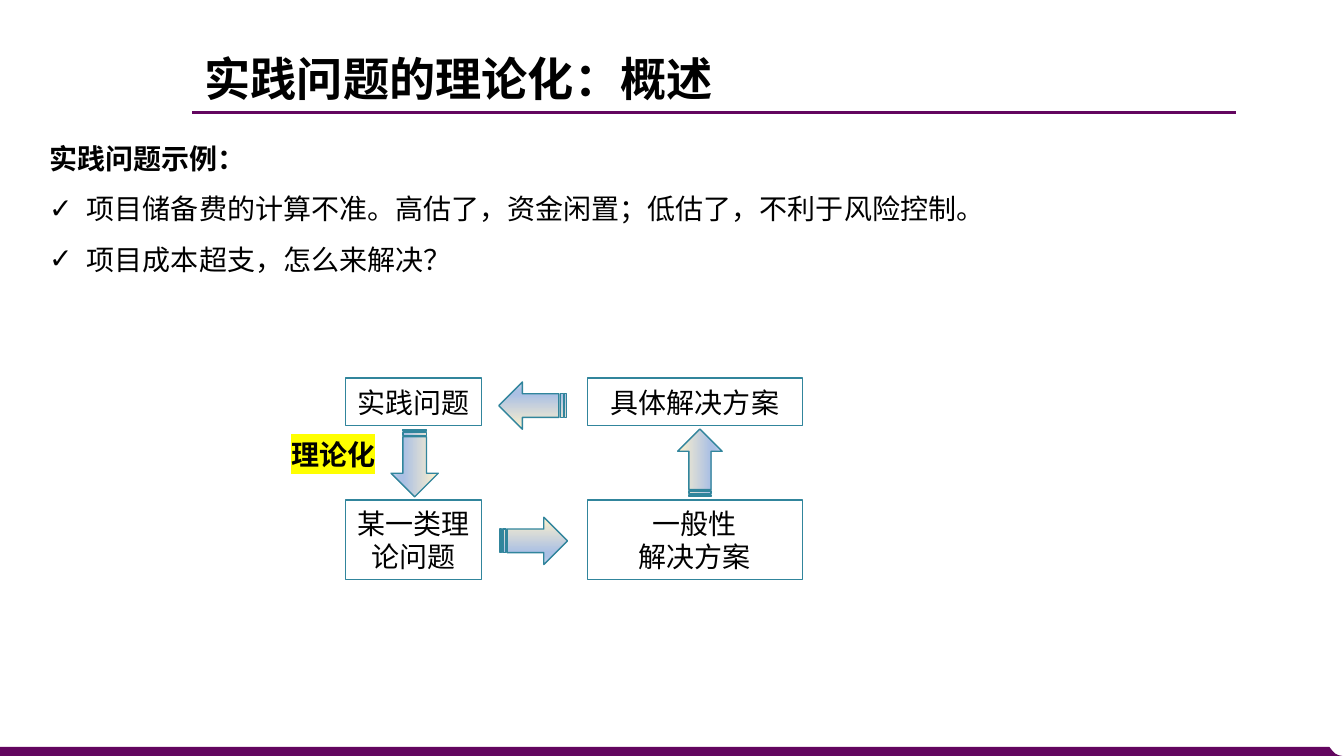
import lxml.etree
import pptx
import pptx.dml.color
import pptx.enum.shapes
import pptx.enum.text
import pptx.oxml.ns
import pptx.util

Cm = pptx.util.Cm
Pt = pptx.util.Pt
RGBColor = pptx.dml.color.RGBColor
MSO_SHAPE = pptx.enum.shapes.MSO_SHAPE
PP_ALIGN = pptx.enum.text.PP_ALIGN
MSO_ANCHOR = pptx.enum.text.MSO_ANCHOR
MSO_AUTO_SIZE = pptx.enum.text.MSO_AUTO_SIZE
qn = pptx.oxml.ns.qn

# Content: lengths in centimetres
TITLE = "实践问题的理论化：概述"
EXAMPLES_HEADING = "实践问题示例："
EXAMPLES = [
    "项目储备费的计算不准。高估了，资金闲置；低估了，不利于风险控制。",
    "项目成本超支，怎么来解决？",
]
THEORY_LABEL = "理论化"
COLUMNS = [(8.71, 3.43), (14.81, 5.41)]  # left, width
ROWS = [(9.53, 1.19), (12.6, 2.01)]  # top, height
BOX_TEXTS = [
    [["实践问题"], ["具体解决方案"]],
    [["某一类理论问题"], ["一般性", "解决方案"]],
]
ARROW_LENGTH = 1.7
ARROWS = [  # centre x, centre y, thickness, rotation
    (13.42, 10.22, 1.19, 180),
    (10.45, 11.67, 1.19, 90),
    (13.45, 13.63, 1.19, 0),
    (17.64, 11.66, 1.12, 270),
]
FOOTER_OUTLINE = [
    (0, 18.82), (33.5, 18.82), (33.58, 18.92), (33.65, 18.99),
    (33.73, 19.03), (33.83, 19.05), (0, 19.05),
]

# Style
PURPLE = RGBColor(0x63, 0x06, 0x5F)
TEAL = RGBColor(0x31, 0x85, 0x9C)
BLACK = RGBColor(0, 0, 0)
YELLOW = RGBColor(0xFF, 0xFF, 0)
ARROW_STOPS = [
    (0, RGBColor(0xFF, 0xF2, 0xCC)),
    (74, RGBColor(0xAB, 0xC0, 0xE4)),
    (83, RGBColor(0xAB, 0xC0, 0xE4)),
    (100, RGBColor(0xC7, 0xD5, 0xED)),
]
CJK_FONT = "Noto Sans CJK SC"
BODY_FONT = {"name": "Arial", "size": Pt(20), "bold": False}
HEADING_FONT = {**BODY_FONT, "bold": True}
LABEL_FONT = {**HEADING_FONT, "name": CJK_FONT}
TITLE_FONT = {**LABEL_FONT, "size": Pt(33)}
LEFT_TEXT = {"alignment": PP_ALIGN.LEFT}
TITLE_TEXT = {**LEFT_TEXT, "line_spacing": 0.9}
EXAMPLE_TEXT = {**LEFT_TEXT, "line_spacing": 1.5}
BOX_TEXT = {"alignment": PP_ALIGN.CENTER}
MIDDLE_FRAME = {
    "word_wrap": True,
    "auto_size": MSO_AUTO_SIZE.NONE,
    "vertical_anchor": MSO_ANCHOR.MIDDLE,
}
TOP_FRAME = {**MIDDLE_FRAME, "vertical_anchor": MSO_ANCHOR.TOP}


def apply(target, values):
    for name, value in values.items():
        setattr(target, name, value)


def add_xml(parent, tag, **attributes):
    return lxml.etree.SubElement(parent, qn(tag), attributes)


def write_paragraph(paragraph, text, font, layout):
    apply(paragraph, layout)
    run = paragraph.add_run()
    run.text = text
    apply(run.font, font)
    run.font.color.rgb = BLACK
    properties = run._r.get_or_add_rPr()
    add_xml(properties, "a:ea", typeface=CJK_FONT)
    return properties


def paragraph_at(frame, index):
    return frame.add_paragraph() if index else frame.paragraphs[0]


def add_bullet(paragraph):
    properties = paragraph._p.get_or_add_pPr()
    properties.set("marL", str(Cm(0.95)))
    properties.set("indent", str(-Cm(0.95)))
    add_xml(properties, "a:buFont", typeface="Arial")
    add_xml(properties, "a:buChar", char="✓")


def add_outlined_shape(shapes, kind, left, top, width, height):
    shape = shapes.add_shape(kind, Cm(left), Cm(top), Cm(width), Cm(height))
    shape.shadow.inherit = False
    shape.line.color.rgb = TEAL
    shape.line.width = Pt(1)
    return shape


def fill_gradient(shape):
    shape.fill.gradient()
    shape.fill.gradient_angle = 270
    stop_list = shape._element.spPr.find(qn("a:gradFill")).find(qn("a:gsLst"))
    for old_stop in list(stop_list):
        stop_list.remove(old_stop)
    for percent, color in ARROW_STOPS:
        stop = add_xml(stop_list, "a:gs", pos=str(percent * 1000))
        add_xml(stop, "a:srgbClr", val=str(color))


def add_text_box(shapes, left, top, width, height, frame_format):
    box = shapes.add_textbox(Cm(left), Cm(top), Cm(width), Cm(height))
    apply(box.text_frame, frame_format)
    return box.text_frame


def main():
    presentation = pptx.Presentation()
    presentation.slide_width = Cm(33.87)
    presentation.slide_height = Cm(19.05)
    slide = presentation.slides.add_slide(presentation.slide_layouts[5])
    shapes = slide.shapes

    # Footer band with a curved right end
    points = [(Cm(x), Cm(y)) for x, y in FOOTER_OUTLINE]
    builder = shapes.build_freeform(*points[0])
    builder.add_line_segments(points[1:], close=True)
    footer = builder.convert_to_shape()
    footer.shadow.inherit = False
    footer.fill.solid()
    footer.fill.fore_color.rgb = PURPLE
    footer.line.fill.background()

    # Title and its rule
    title_rule = shapes.add_connector(
        pptx.enum.shapes.MSO_CONNECTOR.STRAIGHT,
        Cm(4.85), Cm(2.84), Cm(31.14), Cm(2.84))
    title_rule.line.color.rgb = PURPLE
    title_rule.line.width = Pt(2.25)
    add_xml(title_rule._element.spPr, "a:effectLst")
    title = shapes.title
    apply(title, {"left": Cm(4.9), "top": Cm(1.37),
                  "width": Cm(18.21), "height": Cm(1.35)})
    apply(title.text_frame, MIDDLE_FRAME)
    write_paragraph(title.text_frame.paragraphs[0], TITLE, TITLE_FONT, TITLE_TEXT)

    # Example problems
    frame = add_text_box(shapes, 0.99, 3.02, 25.63, 3.96, TOP_FRAME)
    write_paragraph(frame.paragraphs[0], EXAMPLES_HEADING, HEADING_FONT, EXAMPLE_TEXT)
    for example in EXAMPLES:
        paragraph = frame.add_paragraph()
        add_bullet(paragraph)
        write_paragraph(paragraph, example, BODY_FONT, EXAMPLE_TEXT)

    # Boxes of the cycle
    for (top, height), row_texts in zip(ROWS, BOX_TEXTS):
        for (left, width), lines in zip(COLUMNS, row_texts):
            box = add_outlined_shape(
                shapes, MSO_SHAPE.RECTANGLE, left, top, width, height)
            box.fill.background()
            apply(box.text_frame, MIDDLE_FRAME)
            for index, line in enumerate(lines):
                write_paragraph(paragraph_at(box.text_frame, index),
                                line, BODY_FONT, BOX_TEXT)

    # Arrows between the boxes
    for center_x, center_y, thickness, rotation in ARROWS:
        arrow = add_outlined_shape(
            shapes, MSO_SHAPE.STRIPED_RIGHT_ARROW, center_x - ARROW_LENGTH / 2,
            center_y - thickness / 2, ARROW_LENGTH, thickness)
        arrow.rotation = rotation
        fill_gradient(arrow)

    # Highlighted label
    frame = add_text_box(shapes, 7.09, 10.62, 2.67, 1.68, MIDDLE_FRAME)
    properties = write_paragraph(
        frame.paragraphs[0], THEORY_LABEL, LABEL_FONT, LEFT_TEXT)
    highlight = add_xml(properties, "a:highlight")
    add_xml(highlight, "a:srgbClr", val=str(YELLOW))
    properties.find(qn("a:latin")).addprevious(highlight)

    presentation.save("out.pptx")


if __name__ == "__main__":
    main()
